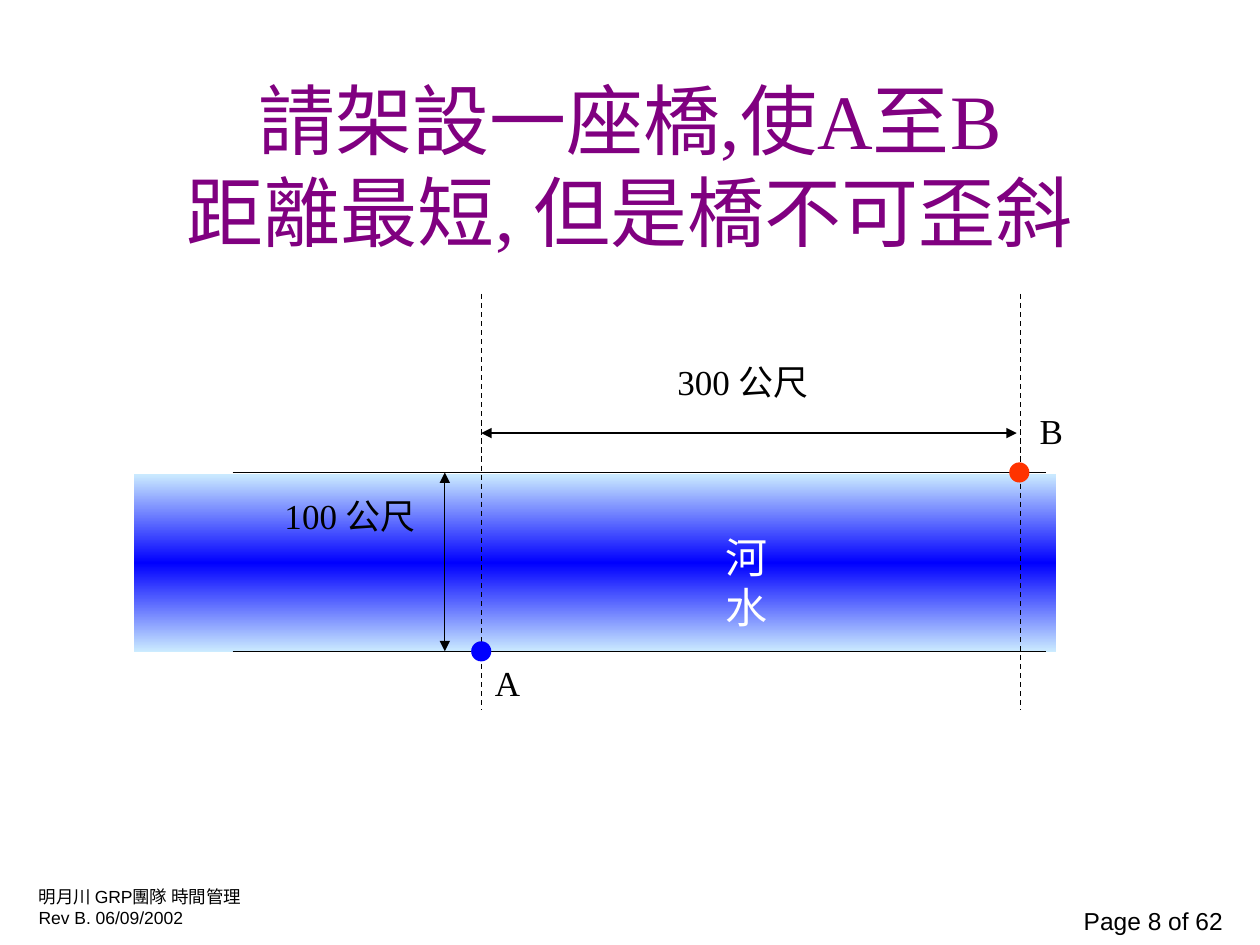
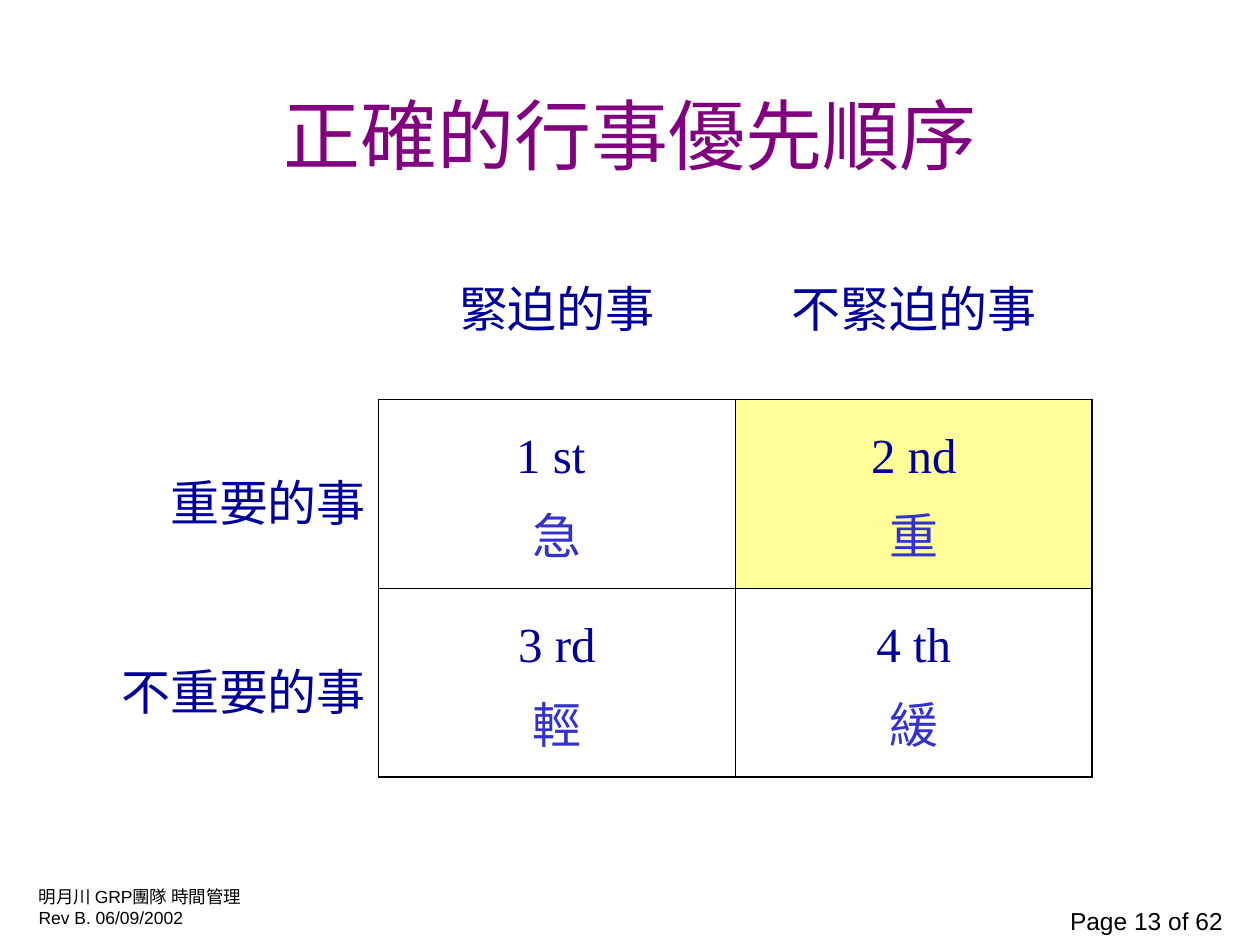
"""Builds two time-management slides: the bridge puzzle and the priority matrix."""
from copy import deepcopy
from dataclasses import dataclass

from lxml import etree
from pptx import Presentation
from pptx import util as u
from pptx.dml.color import RGBColor
from pptx.enum import dml, shapes, text
from pptx.oxml import ns

Pt = u.Pt
LEFT, CENTER, RIGHT = text.PP_ALIGN.LEFT, text.PP_ALIGN.CENTER, text.PP_ALIGN.RIGHT
MIDDLE = text.MSO_ANCHOR.MIDDLE
FIT = text.MSO_AUTO_SIZE.SHAPE_TO_FIT_TEXT


@dataclass(frozen=True)
class Theme:
    """Colours, fonts, type sizes and line widths."""
    title: str = "800080"
    ink: str = "000000"
    white: str = "FFFFFF"
    water: str = "0000FF"
    shore: str = "CCECFF"
    goal: str = "FF3300"
    label: str = "000099"
    accent: str = "3333CC"
    highlight: str = "FFFF99"
    serif: str = "Times New Roman"
    sans: str = "Arial"
    title_size: float = 44
    matrix_size: float = 28
    river_size: float = 24
    label_size: float = 20
    page_size: float = 14
    footer_size: float = 10
    line: float = 0.75
    thin: float = 0.45
    thick: float = 1.08


def assign(target, values):
    """Set each attribute of target from a dict."""
    for name, value in values.items():
        setattr(target, name, value)


def add_xml(parent, tag, **attributes):
    """Append a DrawingML element and return it."""
    return etree.SubElement(parent, ns.qn(tag), attributes)


class Deck:
    """Holds the presentation, its theme and the current slide."""

    def __init__(self, theme):
        """Start an empty 10 by 7.5 inch deck."""
        self.theme = theme
        self.prs = Presentation()
        assign(self.prs, {"slide_width": Pt(720), "slide_height": Pt(540)})

    def new_slide(self, title, title_top, page):
        """Add a slide with its title and footers."""
        t = self.theme
        self.slide = self.prs.slides.add_slide(self.prs.slide_layouts[6])
        self.text((604, 514, 102, 24), [f"Page {page} of 62"], t.page_size,
                  font=t.sans, align=RIGHT, word_wrap=False)
        self.text((15, 502.5, 135.5, 31.5), ["明月川 GRP團隊 時間管理", "Rev B. 06/09/2002"],
                  t.footer_size, font=t.sans, word_wrap=False, auto_size=FIT)
        self.text((54, title_top, 612, 90), [title], t.title_size, t.title,
                  align=CENTER, word_wrap=True, vertical_anchor=MIDDLE)

    def style(self, paragraph, size, color, font, align, spacing=None):
        """Format one paragraph."""
        assign(paragraph, {"alignment": align, "line_spacing": spacing})
        assign(paragraph.font, {"size": Pt(size), "name": font})
        paragraph.font.color.rgb = RGBColor.from_string(color)

    def text(self, place, lines, size, color=None, font=None, align=LEFT, **frame_format):
        """Add a text box with one paragraph per line."""
        frame = self.slide.shapes.add_textbox(*map(Pt, place)).text_frame
        assign(frame, frame_format)
        for index, line in enumerate(lines):
            paragraph = frame.add_paragraph() if index else frame.paragraphs[0]
            paragraph.text = line
            self.style(paragraph, size, color or self.theme.ink, font or self.theme.serif, align)

    def label(self, place, words, size=None, color=None, align=LEFT):
        """Add a one-line diagram label."""
        self.text(place, [words], size or self.theme.label_size, color,
                  align=align, word_wrap=False, auto_size=FIT)

    def shape(self, kind, place):
        """Add a preset shape without line or shadow."""
        shape = self.slide.shapes.add_shape(kind, *map(Pt, place))
        shape.shadow.inherit = False
        shape.line.fill.background()
        return shape

    def river(self, place):
        """Add the water, darkest in mid-stream."""
        t = self.theme
        water = self.shape(shapes.MSO_SHAPE.RECTANGLE, place)
        water.fill.gradient()
        water.fill.gradient_angle = 90
        stops = water.element.spPr.find(".//" + ns.qn("a:gsLst"))
        stops.append(deepcopy(stops[0]))
        for stop, position, color in zip(water.fill.gradient_stops, (0, 0.5, 1),
                                         (t.shore, t.water, t.shore)):
            stop.position = position
            stop.color.rgb = RGBColor.from_string(color)

    def dot(self, x, y, color, size=11.5):
        """Add a round marker centred on a point."""
        marker = self.shape(shapes.MSO_SHAPE.OVAL, (x - size / 2, y - size / 2, size, size))
        marker.fill.solid()
        marker.fill.fore_color.rgb = RGBColor.from_string(color)

    def line(self, start, end, dashed=False, arrows=False):
        """Add a straight line, dashed or with arrows at both ends."""
        line = self.slide.shapes.add_connector(
            shapes.MSO_CONNECTOR.STRAIGHT, *map(Pt, start + end))
        line.line.width = Pt(self.theme.line)
        line.line.color.rgb = RGBColor.from_string(self.theme.ink)
        if dashed:
            line.line.dash_style = dml.MSO_LINE.DASH
        if arrows:
            for tag in ("a:headEnd", "a:tailEnd"):
                add_xml(line.line._get_or_add_ln(), tag, type="triangle")
        add_xml(line.element.spPr, "a:effectLst")

    def borders(self, cell, widths):
        """Draw the cell edges that have a width."""
        properties = cell._tc.get_or_add_tcPr()
        for side, width in widths.items():
            if width:
                edge = add_xml(properties, f"a:ln{side}", w=str(Pt(width)))
                fill = add_xml(edge, "a:solidFill")
                add_xml(fill, "a:srgbClr", val=self.theme.ink)

    def matrix(self, place, rows, row_heights, highlighted):
        """Add a table whose first row and column are unframed headings."""
        t = self.theme
        last = len(rows)
        rules = {**{i: t.thin for i in range(1, last)}, last: t.thick}
        table = self.slide.shapes.add_table(last, last, *map(Pt, place)).table
        assign(table, {"first_row": False, "horz_banding": False})
        style_id = table._tbl.tblPr.find(ns.qn("a:tableStyleId"))
        style_id.text = "{2D5ABB26-0587-4C30-8999-92F81FD0307C}"
        for r, (row, height) in enumerate(zip(rows, row_heights)):
            table.rows[r].height = Pt(height)
            for c, words in enumerate(row):
                cell = table.cell(r, c)
                widths = {"L": r and rules.get(c), "R": r and rules.get(c + 1),
                          "T": c and rules.get(r), "B": c and rules.get(r + 1)}
                self.borders(cell, widths)
                if (r, c) == highlighted:
                    cell.fill.solid()
                    cell.fill.fore_color.rgb = RGBColor.from_string(t.highlight)
                else:
                    cell.fill.background()
                cell.vertical_anchor = MIDDLE
                cell.text_frame.text = words
                for paragraph, color in zip(cell.text_frame.paragraphs, (t.label, t.accent)):
                    self.style(paragraph, t.matrix_size, color, t.serif,
                               CENTER if c else RIGHT, 1.2)


def bridge_slide(deck):
    """Draw the river between A and B."""
    t = deck.theme
    far_bank, near_bank = 270, 372.2
    a_x, b_x, width_x, distance_y = 275, 583, 254.2, 247.5
    deck.new_slide("請架設一座橋,使A至B\v距離最短, 但是橋不可歪斜", 49, 8)
    deck.river((76.5, 270.75, 527, 102))
    for bank in (far_bank, near_bank):
        deck.line((133, bank), (598, bank))
    for x in (a_x, b_x):
        deck.line((x, 168), (x, 406), dashed=True)
    deck.line((width_x, far_bank), (width_x, near_bank), arrows=True)
    deck.line((a_x, distance_y), (b_x - 2, distance_y), arrows=True)
    deck.dot(a_x, near_bank, t.water)
    deck.dot(b_x - 0.5, far_bank, t.goal)
    deck.label((155.5, 278.75, 94.5, 31.5), "100 公尺")
    deck.label((380, 202.25, 94.5, 31.5), "300 公尺")
    deck.label((275.75, 374.5, 28.75, 31.5), "A")
    deck.label((587, 230.5, 27.5, 31.5), "B")
    deck.label((395.5, 300.25, 62, 36), "河水", t.river_size, t.white, CENTER)


def priority_slide(deck):
    """Set out urgency against importance."""
    deck.new_slide("正確的行事優先順序", 31.5, 13)
    deck.matrix((12.25, 114, 612, 330),
                [("", "緊迫的事", "不緊迫的事"),
                 ("重要的事", "1 st \n急", "2 nd\n重"),
                 ("不重要的事", "3 rd\n輕", "4 th\n緩")],
                (114, 108, 108), highlighted=(1, 2))


def main():
    """Build and save the deck."""
    deck = Deck(Theme())
    bridge_slide(deck)
    priority_slide(deck)
    deck.prs.save("out.pptx")


if __name__ == "__main__":
    main()
